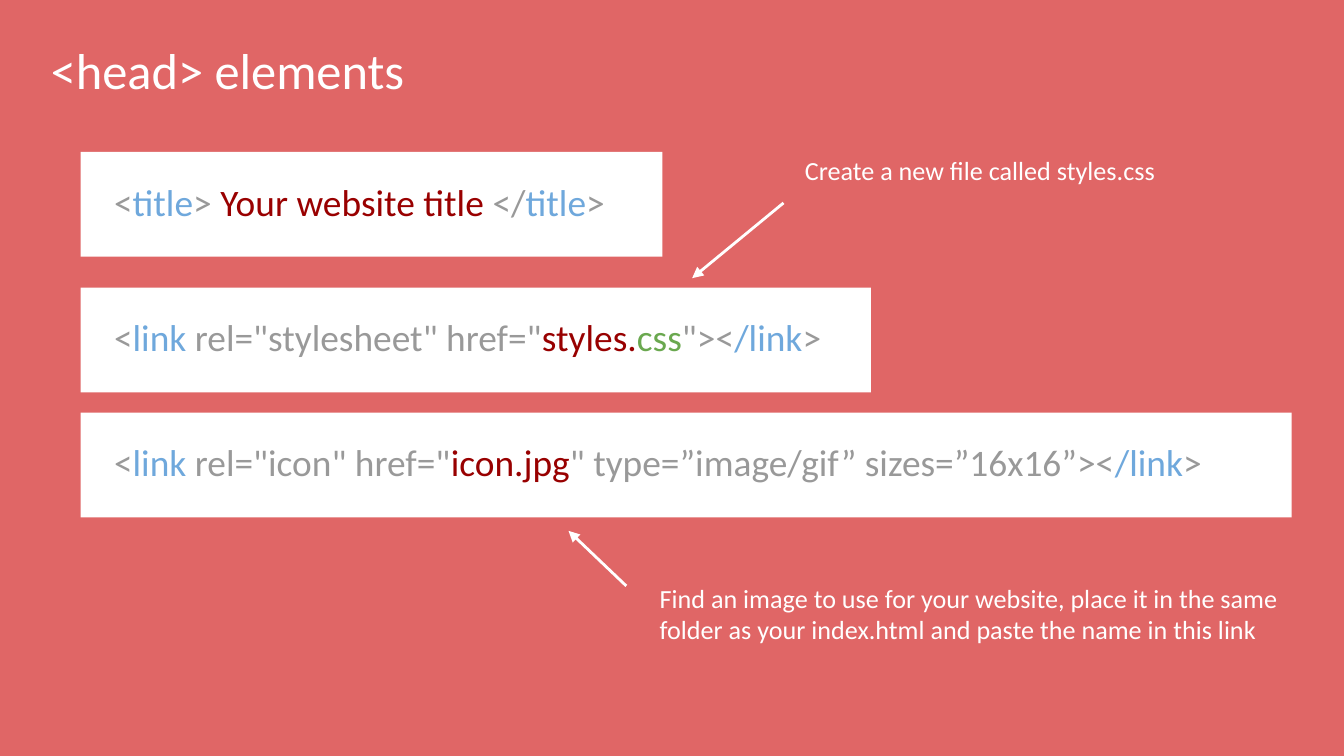
from lxml import etree
from pptx import Presentation
from pptx.dml.color import RGBColor
from pptx.enum import shapes
from pptx.oxml import ns
from pptx.util import Inches, Pt

CORAL = RGBColor(0xE0, 0x66, 0x66)
WHITE = RGBColor(0xFF, 0xFF, 0xFF)
GREY = RGBColor(0x99, 0x99, 0x99)
BLUE = RGBColor(0x6F, 0xA8, 0xDC)
RED = RGBColor(0x99, 0x00, 0x00)
DARK_RED = RGBColor(0x98, 0x00, 0x00)
GREEN = RGBColor(0x6A, 0xA8, 0x4F)
FONT = "Calibri"

# Plain white texts: left, top, width, height, size, text
LABELS = [
    (0.28, 0.19, 7.43, 0.56, 27, "<head> elements"),
    (5.89, 1.05, 3.4, 0.44, 14, "Create a new file called styles.css"),
    (4.81, 4.23, 4.88, 0.92, 14,
     "Find an image to use for your website, place it in the same folder "
     "as your index.html and paste the name in this link"),
]

# Code boxes: top, box width, text width, coloured pieces
CODE_BOXES = [
    (1.13, 4.33, 4.48, [
        ("<", GREY), ("title", BLUE), ("> ", GREY),
        ("Your website title ", RED),
        ("</", GREY), ("title", BLUE), (">", GREY)]),
    (2.14, 5.88, 5.68, [
        ("<", GREY), ("link", BLUE), (' rel="stylesheet" href="', GREY),
        ("styles.", DARK_RED), ("css", GREEN),
        ('"><', GREY), ("/link", BLUE), (">", GREY)]),
    (3.07, 9.01, 9.12, [
        ("<", GREY), ("link", BLUE), (' rel="icon" href="', GREY),
        ("icon.jpg", DARK_RED),
        ('" type=”image/gif” sizes=”16x16”><', GREY),
        ("/link", BLUE), (">", GREY)]),
]
BOX_LEFT, BOX_HEIGHT = 0.6, 0.78
CODE_DX, CODE_DY, CODE_HEIGHT, CODE_SIZE = 0.15, 0.1, 0.44, 20

# Arrow tip x, y, then the other end x, y
ARROWS = [(5.15, 2.07, 5.83, 1.51), (4.23, 3.95, 4.66, 4.36)]


def add_text(slide, left, top, width, height, size, pieces):
    """Add a text box whose pieces are (text, colour) pairs."""
    box = slide.shapes.add_textbox(*map(Inches, (left, top, width, height)))
    tf = box.text_frame
    tf.word_wrap = True
    tf.margin_left = tf.margin_right = Inches(0.1)
    tf.margin_top = tf.margin_bottom = Inches(0.1)
    for text, color in pieces:
        r = tf.paragraphs[0].add_run()
        r.text = text
        r.font.name = FONT
        r.font.size = Pt(size)
        r.font.color.rgb = color


def add_code_box(slide, top, width, text_width, pieces):
    sp = slide.shapes.add_shape(
        shapes.MSO_SHAPE.RECTANGLE,
        *map(Inches, (BOX_LEFT, top, width, BOX_HEIGHT)))
    sp.shadow.inherit = False
    sp.fill.solid()
    sp.fill.fore_color.rgb = WHITE
    sp.line.fill.background()
    add_text(slide, BOX_LEFT + CODE_DX, top + CODE_DY, text_width,
             CODE_HEIGHT, CODE_SIZE, pieces)


def add_arrow(slide, *ends):
    line = slide.shapes.add_connector(
        shapes.MSO_CONNECTOR.STRAIGHT, *map(Inches, ends))
    line.line.color.rgb = WHITE
    line.line.width = Pt(1.5)
    ln = line.line._get_or_add_ln()
    etree.SubElement(ln, ns.qn("a:headEnd"), type="triangle")
    etree.SubElement(ln.getparent(), ns.qn("a:effectLst"))


prs = Presentation()
prs.slide_width = Inches(10)
prs.slide_height = prs.slide_width * 9 // 16
s = prs.slides.add_slide(prs.slide_layouts[6])
s.background.fill.solid()
s.background.fill.fore_color.rgb = CORAL

for code_box in CODE_BOXES:
    add_code_box(s, *code_box)
for *place, label in LABELS:
    add_text(s, *place, [(label, WHITE)])
for arrow in ARROWS:
    add_arrow(s, *arrow)

prs.save("out.pptx")
